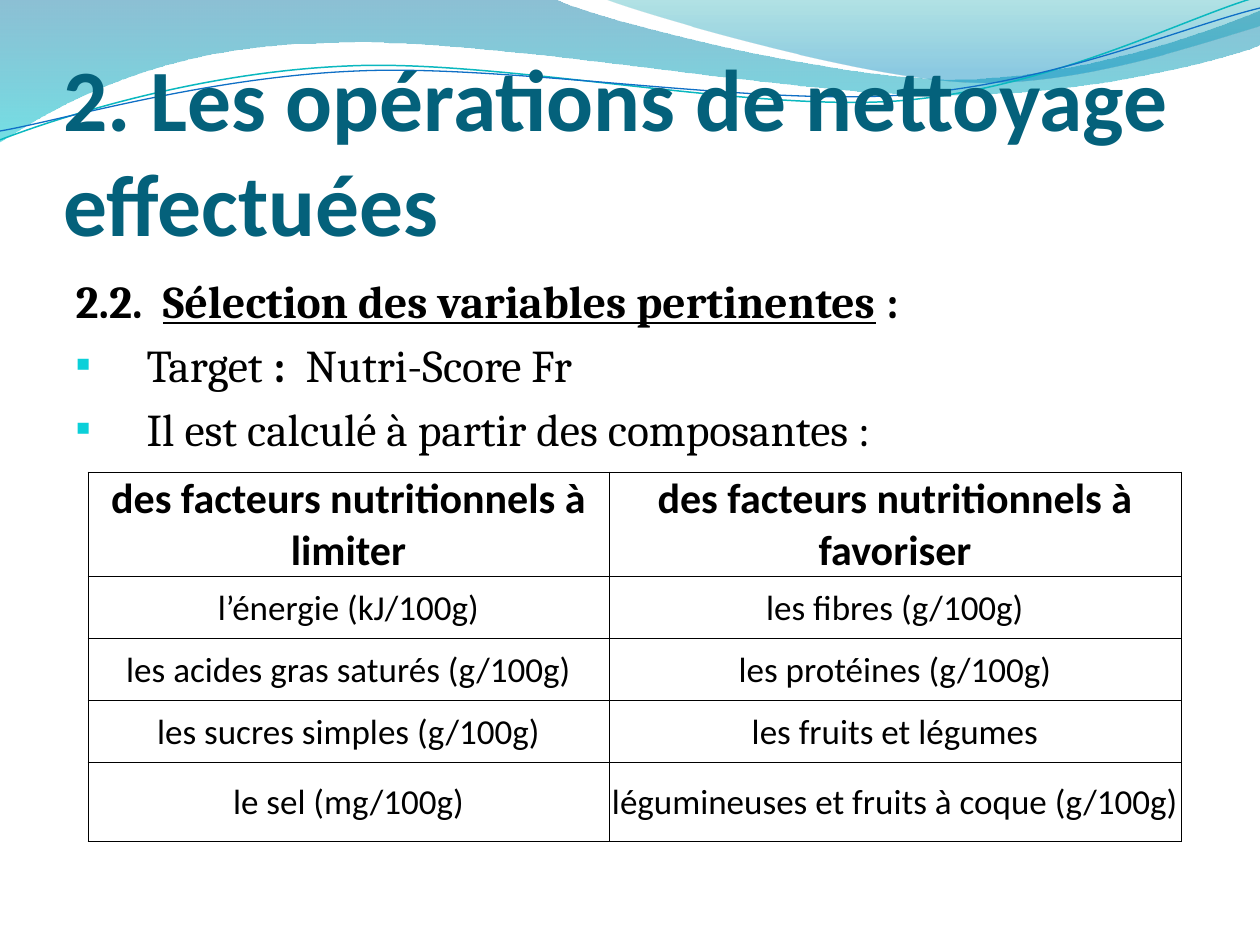
from dataclasses import dataclass
from math import cos, radians, sin
from lxml.etree import SubElement as Sub
from pptx import Presentation
from pptx.dml.color import RGBColor as RGB
from pptx.enum.text import MSO_ANCHOR as Anchor, MSO_AUTO_SIZE as Auto, PP_ALIGN as Align
from pptx.oxml import parse_xml
from pptx.oxml.ns import nsdecls, qn
from pptx.util import Pt


@dataclass
class Theme:
    sans: str = "Calibri"
    serif: str = "Cambria"
    ink: str = "000000"
    head: str = "04617B"
    mark: str = "0BD0D9"
    wave: tuple = ((0, "0074A1", 45), (1, "00C6CF", 55))
    crest: tuple = ((0, "00A1A9", 30), (0.8, "008BBF", 45))
    teal: str = "0AB8BF"
    blue: str = "0F6FC6"
    tilt: float = 2.7
    big: int = 50
    body: int = 26
    top: int = 24
    cell: int = 20


def px(n):
    return round(n * 914400 / 126)


def put(item, **vals):
    for key, val in vals.items():
        setattr(item, key, val)


def turn(spot, mid, angle):
    x, y = spot[0] - mid[0], spot[1] - mid[1]
    c, s = cos(radians(angle)), sin(radians(angle))
    return mid[0] + x * c - y * s, mid[1] + x * s + y * c


class Deck:
    def __init__(self, theme):
        self.theme = theme
        self.prs = Presentation()
        put(self.prs, slide_width=px(1260), slide_height=px(945))
        self.slide = self.prs.slides.add_slide(self.prs.slide_layouts[1])
        self.shapes = self.slide.shapes

    def outline(self, start, steps, close, mid=(0, 0), angle=0):
        pairs = [start] + [p for step in steps for p in zip(step[::2], step[1::2])]
        spots = [tuple(map(px, turn(p, mid, angle))) for p in pairs]
        pen = self.shapes.build_freeform(*spots[0], scale=1.0)
        pen.add_line_segments(spots[1:], close=close)
        shape = pen.convert_to_shape()
        shape.shadow.inherit = False
        shape.rotation = -angle
        nodes = iter(list(shape._element.spPr.iter(qn("a:lnTo"))))
        for step in steps:
            first = next(nodes)
            if len(step) == 6:
                bend = parse_xml(f'<a:cubicBezTo {nsdecls("a")}/>')
                first.addprevious(bend)
                for node in (first, next(nodes), next(nodes)):
                    bend.append(node[0])
                    node.getparent().remove(node)
        return shape

    def band(self, start, steps, stops):
        shape = self.outline(start, steps, True)
        shape.line.fill.background()
        shape.fill.gradient()
        shape.fill.gradient_angle = 270
        for stop, (pos, tint, _) in zip(shape.fill.gradient_stops, stops):
            stop.position = pos
            stop.color.rgb = RGB.from_string(tint)
        tints = shape._element.spPr.iter(qn("a:srgbClr"))
        for node, (_, _, alpha) in zip(tints, stops):
            Sub(node, qn("a:alpha"), val=str(alpha * 1000))

    def curve(self, start, steps, mid, tint, width):
        shape = self.outline(start, steps, False, mid, self.theme.tilt)
        shape.fill.background()
        shape.line.color.rgb = RGB.from_string(tint)
        shape.line.width = Pt(width)

    def run(self, para, text, size, font, tint=None, **style):
        run = para.add_run()
        run.text = text
        put(run.font, size=Pt(size), name=font, **style)
        run.font.color.rgb = RGB.from_string(tint or self.theme.ink)

    def holder(self, index, box, **frame):
        shape = self.slide.placeholders[index]
        put(shape, **dict(zip(("left", "top", "width", "height"), map(px, box))))
        put(shape.text_frame, word_wrap=True, auto_size=Auto.NONE, **frame)
        self.shapes._spTree.append(shape._element)
        return shape.text_frame

    def title(self, text, box):
        t = self.theme
        frame = self.holder(0, box, vertical_anchor=Anchor.BOTTOM, margin_left=0,
                            margin_right=0, margin_top=px(6), margin_bottom=0)
        para = frame.paragraphs[0]
        para.alignment = Align.LEFT
        self.run(para, text, t.big, t.sans, t.head, bold=True)

    def items(self, rows, box):
        t = self.theme
        frame = self.holder(1, box, vertical_anchor=Anchor.TOP)
        for i, (mark, runs) in enumerate(rows):
            para = frame.add_paragraph() if i else frame.paragraphs[0]
            para.alignment = Align.JUSTIFY
            props = para._p.get_or_add_pPr()
            props.set("marL", str(px(71)))
            props.set("indent", str(px(-71)))
            if mark:
                Sub(Sub(props, qn("a:buClr")), qn("a:srgbClr"), val=t.mark)
                Sub(props, qn("a:buSzPct"), val="95000")
                Sub(props, qn("a:buFont"), typeface=t.sans)
                Sub(props, qn("a:buChar"), char=mark)
            else:
                Sub(props, qn("a:buNone"))
            for text, bold, under in runs:
                self.run(para, text, t.body, t.serif, bold=bold, underline=under)

    def edge(self, cell):
        props = cell._tc.get_or_add_tcPr()
        for i, side in enumerate("LRTB"):
            props.insert(i, parse_xml(
                f'<a:ln{side} {nsdecls("a")} w="6350"><a:solidFill>'
                f'<a:srgbClr val="{self.theme.ink}"/></a:solidFill></a:ln{side}>'))

    def table(self, rows, spot, cols, highs):
        t = self.theme
        size = map(px, (*spot, sum(cols), sum(highs)))
        grid = self.shapes.add_table(len(rows), len(cols), *size).table
        put(grid, first_row=False, horz_banding=False)
        for col, wide in zip(grid.columns, cols):
            col.width = px(wide)
        for r, (line, high) in enumerate(zip(rows, highs)):
            grid.rows[r].height = px(high)
            for c, text in enumerate(line):
                cell = grid.cell(r, c)
                put(cell, vertical_anchor=Anchor.MIDDLE, margin_left=px(1),
                    margin_right=px(1), margin_top=px(2), margin_bottom=0)
                cell.fill.background()
                self.edge(cell)
                para = cell.text_frame.paragraphs[0]
                para.alignment = Align.CENTER
                self.run(para, text, t.cell if r else t.top, t.sans, bold=not r)


look = Theme()
deck = Deck(look)
deck.band((0, 0), [(554, -1), (600, 21, 837, 79, 955, 79), (1074, 79, 1207, 33, 1260, 11),
                   (1261, 45), (1238, 55, 1096, 96, 940, 95), (784, 95, 481, 35, 324, 43),
                   (161, 45, 58, 105, -1, 142)], look.wave)
deck.band((604, -1), [(641, 14, 859, 78, 969, 82), (1079, 87, 1211, 40, 1260, 26),
                      (1260, 0)], look.crest)
deck.curve((0, 140), [(60, 117, 199, 72, 349, 66), (498, 59, 747, 112, 898, 101),
                      (1050, 89, 1182, 19, 1257, -3)], (629, 72), look.teal, 0.85)
deck.curve((0, 131), [(59, 121, 207, 77, 357, 71), (508, 64, 752, 106, 903, 95),
                      (1053, 84, 1185, 26, 1260, 8)], (629, 74), look.blue, 0.75)
deck.title("2. Les opérations de nettoyage effectuées", (63, 96, 1134, 158))
deck.items([
    ("", [("2.2.  ", True, False), ("Sélection des variables pertinentes", True, True),
          (" : ", True, False)]),
    ("▪", [("Target", False, False), (" :  ", True, False), ("Nutri-Score Fr", False, False)]),
    ("▪", [("Il est calculé à partir des composantes :", False, False)]),
], (63, 267, 1134, 605))
deck.table([
    ("des facteurs nutritionnels à limiter", "des facteurs nutritionnels à favoriser"),
    ("l’énergie (kJ/100g)", "les fibres (g/100g)"),
    ("les acides gras saturés (g/100g)", "les protéines (g/100g)"),
    ("les sucres simples (g/100g)", "les fruits et légumes"),
    ("le sel (mg/100g)", "légumineuses et fruits à coque (g/100g)"),
], (88, 472), (521, 572), (79, 62, 62, 62, 79))
deck.prs.save("out.pptx")
